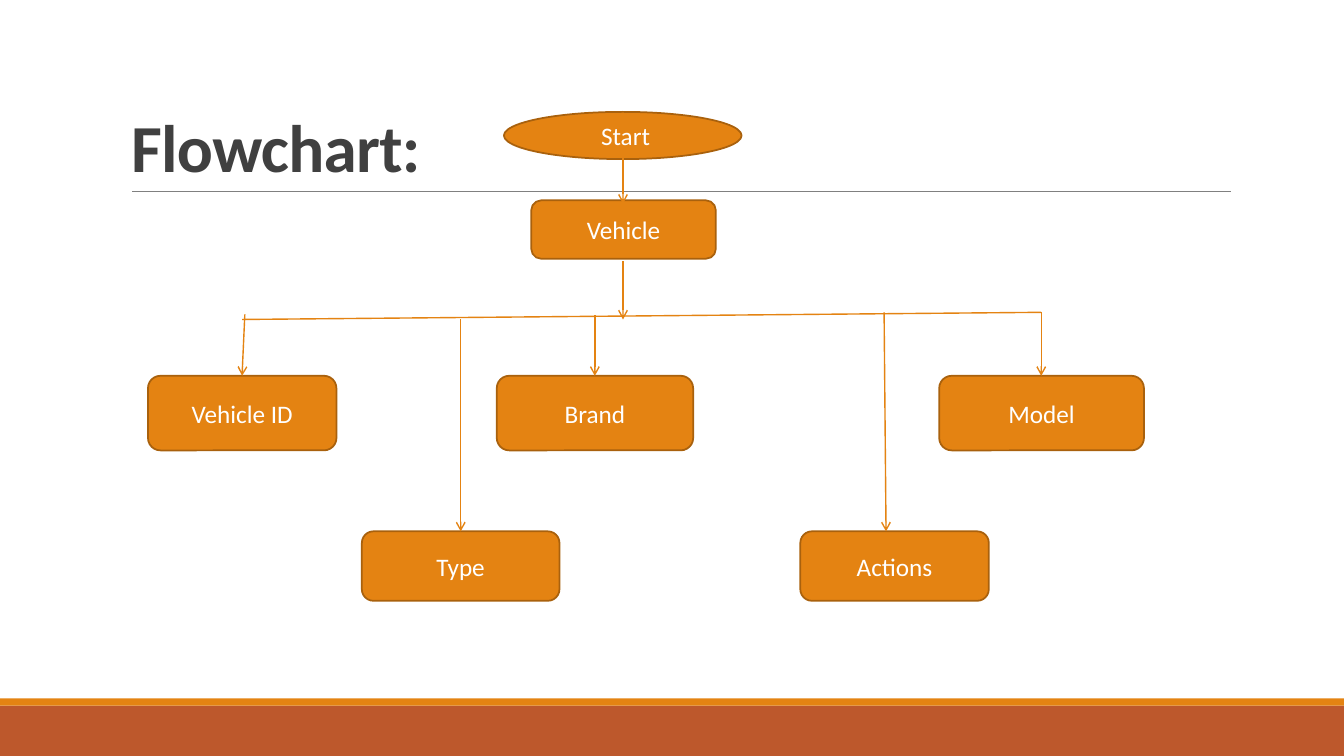
from lxml.etree import SubElement
from pptx import Presentation
from pptx.dml.color import RGBColor
from pptx.enum.shapes import MSO_CONNECTOR, MSO_SHAPE
from pptx.enum.text import MSO_ANCHOR, MSO_AUTO_SIZE, PP_ALIGN
from pptx.oxml.ns import qn
from pptx.util import Cm, Pt

COLORS = {
    "orange": "E48312",
    "outline": "A9610D",
    "rust": "BD582C",
    "rule": "808080",
    "title": "404040",
    "white": "FFFFFF",
}
SLIDE_WIDTH, SLIDE_HEIGHT = 33.87, 19.05
TITLE_ONLY = 5


class FlowchartSlide:
    """Holds the slide and its style; all lengths are in centimetres."""

    font_name = "Calibri"

    def __init__(self, presentation):
        self.slide = presentation.slides.add_slide(presentation.slide_layouts[TITLE_ONLY])

    def color(self, name):
        return RGBColor.from_string(COLORS[name])

    def add_run(self, paragraph, text, size, color, bold=False):
        run = paragraph.add_run()
        run.text = text
        run.font.name = self.font_name
        run.font.size = Pt(size)
        run.font.bold = bold
        run.font.color.rgb = self.color(color)
        return run

    def add_title(self, text, left, top, width, height):
        title = self.slide.shapes.title
        title.left, title.top = Cm(left), Cm(top)
        title.width, title.height = Cm(width), Cm(height)
        frame = title.text_frame
        frame.word_wrap = True
        frame.auto_size = MSO_AUTO_SIZE.NONE
        frame.vertical_anchor = MSO_ANCHOR.BOTTOM
        paragraph = frame.paragraphs[0]
        paragraph.alignment = PP_ALIGN.LEFT
        paragraph.line_spacing = 0.85
        run = self.add_run(paragraph, text, 48, "title", bold=True)
        run.font._element.set("spc", "-50")

    def add_filled_shape(self, kind, left, top, width, height, fill):
        shape = self.slide.shapes.add_shape(kind, Cm(left), Cm(top), Cm(width), Cm(height))
        shape.shadow.inherit = False
        shape.fill.solid()
        shape.fill.fore_color.rgb = self.color(fill)
        shape.line.fill.background()
        return shape

    def add_band(self, top, height, fill):
        self.add_filled_shape(MSO_SHAPE.RECTANGLE, 0, top, SLIDE_WIDTH, height, fill)

    def add_node(self, text, left, top, width, height, kind=MSO_SHAPE.ROUNDED_RECTANGLE):
        shape = self.add_filled_shape(kind, left, top, width, height, "orange")
        shape.line.color.rgb = self.color("outline")
        shape.line.width = Pt(1.25)
        frame = shape.text_frame
        frame.word_wrap = True
        frame.vertical_anchor = MSO_ANCHOR.MIDDLE
        paragraph = frame.paragraphs[0]
        paragraph.alignment = PP_ALIGN.CENTER
        self.add_run(paragraph, text, 18, "white")

    def add_line(self, start, end, color="orange", width=1, arrow=False):
        points = [Cm(value) for value in (*start, *end)]
        connector = self.slide.shapes.add_connector(MSO_CONNECTOR.STRAIGHT, *points)
        connector.line.color.rgb = self.color(color)
        connector.line.width = Pt(width)
        if arrow:
            SubElement(connector.line._get_or_add_ln(), qn("a:tailEnd"), type="arrow")
        SubElement(connector._element.spPr, qn("a:effectLst"))


def main():
    presentation = Presentation()
    presentation.slide_width = Cm(SLIDE_WIDTH)
    presentation.slide_height = Cm(SLIDE_HEIGHT)
    flowchart = FlowchartSlide(presentation)

    flowchart.add_band(17.78, 1.27, "rust")
    flowchart.add_band(17.6, 0.18, "orange")
    flowchart.add_line((3.33, 4.83), (31.01, 4.83), "rule", 0.5)
    flowchart.add_title("Flowchart:", 3.05, 0.79, 27.94, 4.04)

    flowchart.add_node(" Start", 12.7, 2.82, 5.99, 1.19, MSO_SHAPE.OVAL)
    flowchart.add_node("Vehicle", 13.39, 5.05, 4.65, 1.47)

    upper_row, lower_row = (9.47, 1.88), (13.39, 1.75)
    details = [
        ("Vehicle ID", 3.73, 4.75, upper_row),
        ("Brand", 12.52, 4.95, upper_row),
        ("Model", 23.67, 5.16, upper_row),
        ("Type", 9.12, 4.98, lower_row),
        ("Actions", 20.17, 4.75, lower_row),
    ]
    for text, left, width, (top, height) in details:
        flowchart.add_node(text, left, top, width, height)

    flowchart.add_line((6.1, 8.05), (26.24, 7.87))
    upper_top, lower_top = upper_row[0], lower_row[0]
    arrows = [
        ((15.7, 3.94), (15.7, 5.13)),
        ((15.7, 6.58), (15.7, 8.05)),
        ((6.17, 7.92), (6.1, upper_top)),
        ((14.99, 7.95), (14.99, upper_top)),
        ((26.24, 7.87), (26.24, upper_top)),
        ((11.61, 8.05), (11.61, lower_top)),
        ((22.28, 7.87), (22.33, lower_top)),
    ]
    for start, end in arrows:
        flowchart.add_line(start, end, arrow=True)

    presentation.save("out.pptx")


if __name__ == "__main__":
    main()
